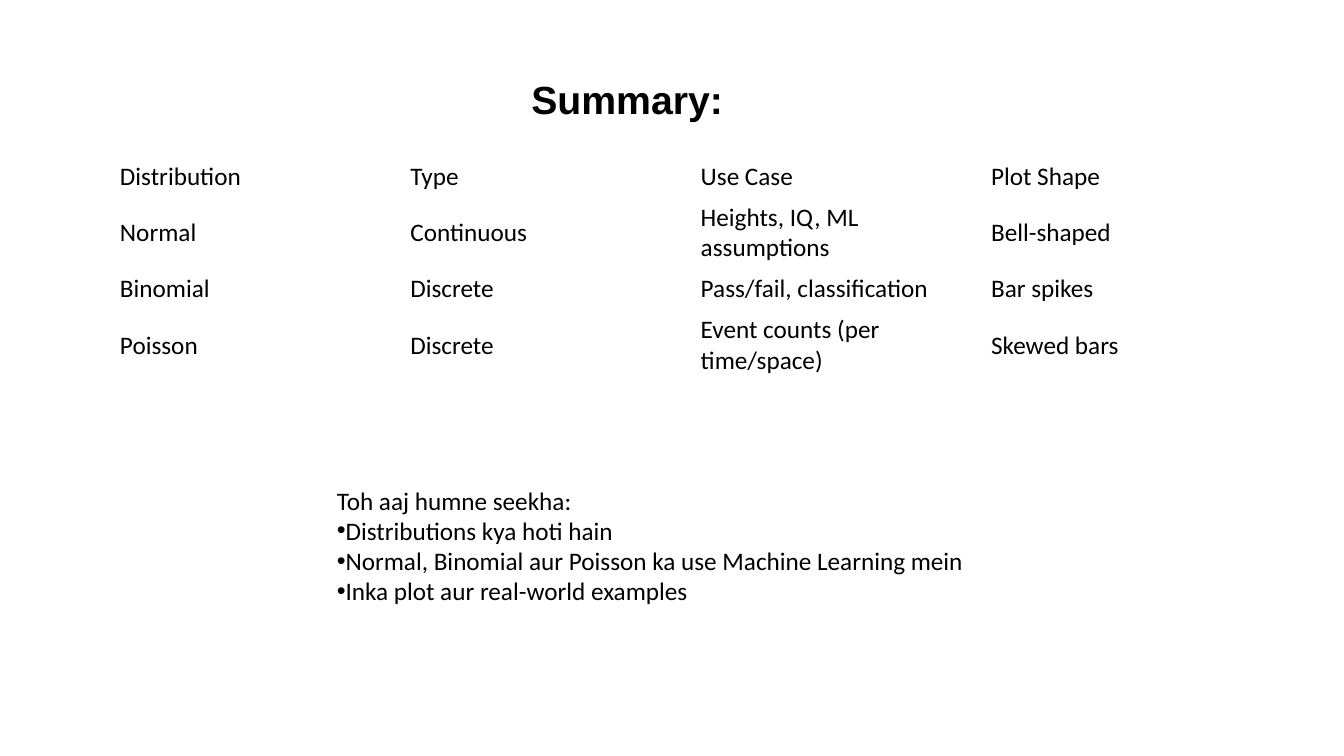
"""Build the summary slide comparing three probability distributions."""
from lxml import etree
from pptx import Presentation
from pptx import util as u
from pptx.dml.color import RGBColor
from pptx.enum import text
from pptx.oxml import ns

TITLE = "Summary:"
DISTRIBUTIONS = [
    ("Distribution", "Type", "Use Case", "Plot Shape"),
    ("Normal", "Continuous", "Heights, IQ, ML assumptions", "Bell-shaped"),
    ("Binomial", "Discrete", "Pass/fail, classification", "Bar spikes"),
    ("Poisson", "Discrete", "Event counts (per time/space)", "Skewed bars"),
]
RECAP = "Toh aaj humne seekha:"
LESSONS = [
    "Distributions kya hoti hain",
    "Normal, Binomial aur Poisson ka use Machine Learning mein",
    "Inka plot aur real-world examples",
]

SLIDE_SIZE = (13.33, 7.5)
TITLE_BOX = (5.17, 0.66, 2.36, 1.25)
RECAP_BOX = (3.24, 4.76, 8.3, 1.31)
TABLE_LEFT, TABLE_TOP, COLUMN_WIDTH = 1.09, 1.55, 2.88
LINE_HEIGHT, CELL_PADDING = 0.305, 0.1
LINES_PER_ROW = (1, 2, 1, 2)
TITLE_FONT = {"name": "Arial", "size": u.Pt(28), "bold": True}
BODY_FONT = {"name": "Calibri", "size": u.Pt(18), "bold": False}
PARAGRAPH = {"alignment": text.PP_ALIGN.LEFT, "line_spacing": 1.0,
             "space_before": u.Pt(0), "space_after": u.Pt(0)}
FRAME = {"word_wrap": True, "auto_size": text.MSO_AUTO_SIZE.NONE,
         "vertical_anchor": text.MSO_ANCHOR.TOP}
PLAIN_TABLE_STYLE = "{2D5ABB26-0587-4C30-8999-92F81FD0307C}"


def color(hex_code):
    return RGBColor.from_string(hex_code)


def apply(target, values):
    for name, value in values.items():
        setattr(target, name, value)


def place(shape, box):
    apply(shape, dict(zip(("left", "top", "width", "height"), map(u.Inches, box))))


def write(paragraph, words, font):
    run = paragraph.add_run()
    run.text = words
    apply(run.font, font)
    run.font.color.rgb = color("000000")
    apply(paragraph, PARAGRAPH)


def set_bullet(paragraph, character=None):
    properties = paragraph._p.get_or_add_pPr()
    properties.set("marL", "0")
    properties.set("indent", "0")
    if character:
        font = etree.SubElement(properties, ns.qn("a:buFont"))
        font.set("typeface", "Arial")
        bullet = etree.SubElement(properties, ns.qn("a:buChar"))
        bullet.set("char", character)
    else:
        etree.SubElement(properties, ns.qn("a:buNone"))


def add_title(slide):
    title = slide.shapes.title
    place(title, TITLE_BOX)
    apply(title.text_frame, FRAME | {"margin_top": u.Inches(0.09)})
    write(title.text_frame.paragraphs[0], TITLE, TITLE_FONT)


def add_distributions(slide):
    heights = [lines * LINE_HEIGHT + CELL_PADDING for lines in LINES_PER_ROW]
    columns = len(DISTRIBUTIONS[0])
    box = (TABLE_LEFT, TABLE_TOP, columns * COLUMN_WIDTH, sum(heights))
    table = slide.shapes.add_table(len(heights), columns, *map(u.Inches, box)).table
    apply(table, {"first_row": False, "horz_banding": False})
    table._tbl.tblPr.find(ns.qn("a:tableStyleId")).text = PLAIN_TABLE_STYLE
    for row, height, words in zip(table.rows, heights, DISTRIBUTIONS):
        row.height = u.Inches(height)
        for cell, entry in zip(row.cells, words):
            cell.fill.background()
            cell.vertical_anchor = text.MSO_ANCHOR.MIDDLE
            write(cell.text_frame.paragraphs[0], entry, BODY_FONT)


def add_recap(slide):
    body = slide.placeholders[1]
    place(body, RECAP_BOX)
    apply(body.text_frame, FRAME)
    heading = body.text_frame.paragraphs[0]
    write(heading, RECAP, BODY_FONT)
    set_bullet(heading)
    for lesson in LESSONS:
        paragraph = body.text_frame.add_paragraph()
        write(paragraph, lesson, BODY_FONT)
        set_bullet(paragraph, "•")


def main():
    presentation = Presentation()
    presentation.slide_width, presentation.slide_height = map(u.Inches, SLIDE_SIZE)
    slide = presentation.slides.add_slide(presentation.slide_layouts[1])
    add_distributions(slide)
    add_title(slide)
    add_recap(slide)
    presentation.save("out.pptx")


if __name__ == "__main__":
    main()
